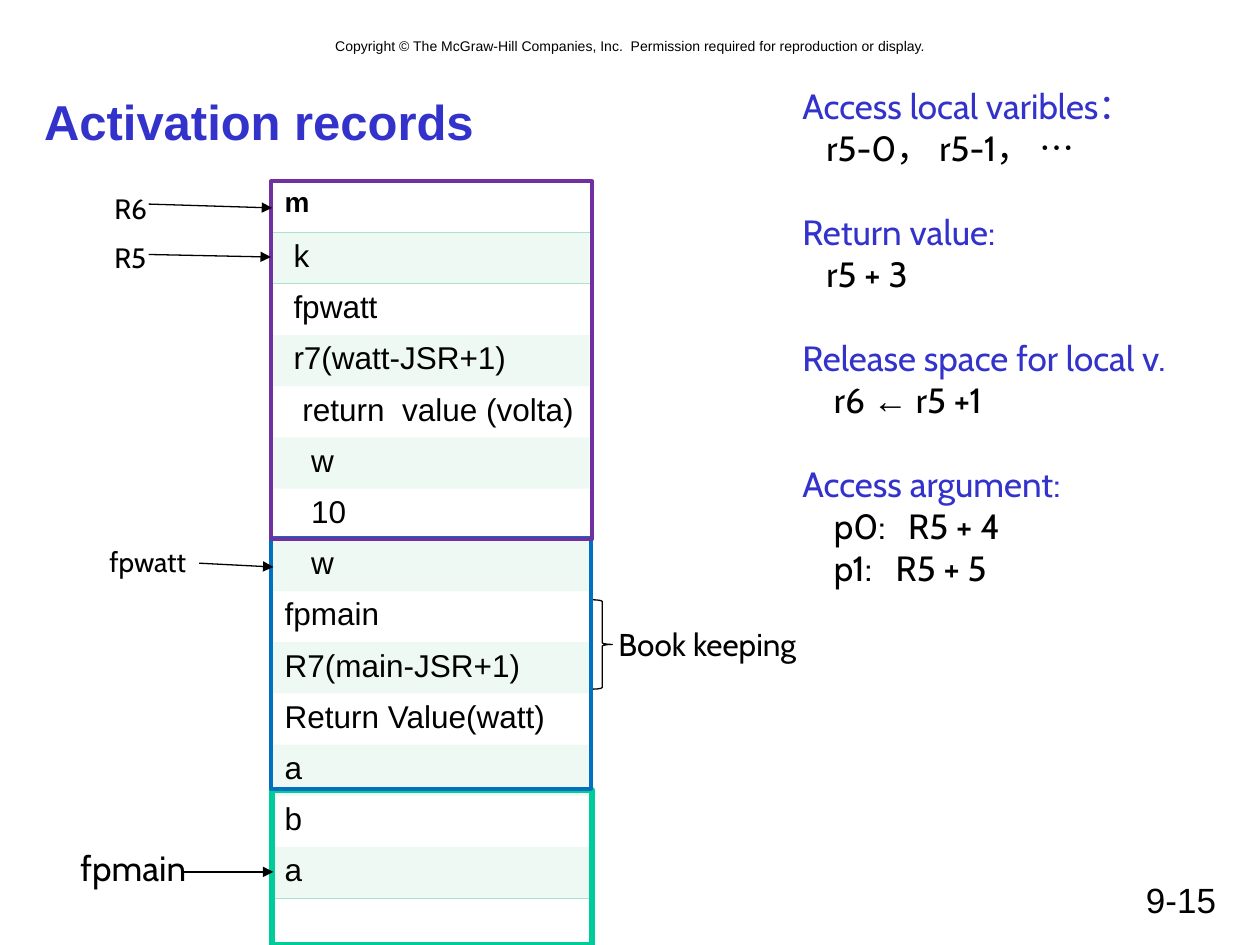
from pptx import Presentation
from pptx.dml.color import RGBColor
from pptx.enum.shapes import MSO_CONNECTOR as CONN, MSO_SHAPE as SHAPE
from pptx.enum.text import MSO_ANCHOR as ANCHOR, PP_ALIGN as ALIGN
from pptx.oxml import parse_xml
from pptx.oxml.ns import nsdecls
from pptx.util import Inches, Pt

BLACK, BLUE, MINT = "000000", "3333CC", "AAE2CA"
STACK = [("m", 0), ("k", 1), ("fpwatt", 1), ("r7(watt-JSR+1)", 1),
         ("return  value (volta)", 2), ("w", 3), ("10", 3), ("w", 3),
         ("fpmain", 0), ("R7(main-JSR+1)", 0), ("Return Value(watt)", 0),
         ("a", 0), ("b", 0), ("a", 0)]
FRAMES = [((2.16, 6.27, 2.54, 1.23), "00CC99", 3),
          ((2.15, 4.27, 2.54, 1.99), "0070C0", 2.25),
          ((2.15, 1.44, 2.55, 2.84), "7030A0", 2.25)]
POINTERS = [("fpwatt", (0.77, 4.27, 0.94, 0.37), 16, (1.58, 4.47, 2.17, 4.5)),
            ("R6", (0.81, 1.47, 0.6, 0.37), 16, (1.18, 1.62, 2.16, 1.65)),
            ("fpmain", (0.54, 6.67, 1.57, 0.44), 20, (1.44, 6.92, 2.17, 6.92)),
            ("R5", (0.81, 1.86, 0.6, 0.37), 16, (1.18, 2.02, 2.15, 2.04))]
NOTES = [("Access local varibles：", [("\tr5-0， r5-1， …", [0.19])]),
         ("Return value:", [("\tr5 + 3", [0.19])]),
         ("Release space for local v.", [("\tr6 ← r5 +1", [0.25])]),
         ("Access argument:", [("\tp0:\tR5 + 4", [0.25, 0.84]),
                               ("\tp1:\tR5 + 5", [0.25, 0.74])])]


def rgb(color):
    """Turn a hex string into a colour."""
    return RGBColor.from_string(color)


def inches(values):
    """Turn numbers into lengths."""
    return [Inches(v) for v in values]


def add_run(p, text, size, font="Arial", color=BLACK, bold=False):
    """Add a formatted run to a paragraph."""
    r = p.add_run()
    r.text = text
    for key, value in dict(size=Pt(size), name=font, bold=bold).items():
        setattr(r.font, key, value)
    r.font.color.rgb = rgb(color)


def add_box(s, box):
    """Add an empty wrapping text box and return its text frame."""
    tf = s.shapes.add_textbox(*inches(box)).text_frame
    tf.word_wrap = True
    return tf


def add_label(s, box, text, size, font="Cabin", align=ALIGN.LEFT):
    """Add a one-line label."""
    p = add_box(s, box).paragraphs[0]
    p.alignment = align
    add_run(p, text, size, font)


def add_title(s, box, text):
    """Place and format the title placeholder."""
    sp = s.shapes.title
    sp.left, sp.top, sp.width, sp.height = inches(box)
    tf = sp.text_frame
    tf.vertical_anchor = ANCHOR.MIDDLE
    tf.paragraphs[0].alignment = ALIGN.LEFT
    add_run(tf.paragraphs[0], text, 28, color=BLUE, bold=True)


def add_border(cell, side):
    """Draw a thin mint border on one side of a cell."""
    pr = cell._tc.get_or_add_tcPr()
    ln = parse_xml(f'<a:{side} {nsdecls("a")} w="5715"><a:solidFill>'
                   f'<a:srgbClr val="{MINT}"/></a:solidFill></a:{side}>')
    pr.insert(len(pr.findall("{*}lnT")), ln)


def add_stack(s, box):
    """Add the table of stack slots with alternate rows tinted."""
    table = s.shapes.add_table(len(STACK), 1, *inches(box)).table
    table.first_row = table.horz_banding = False
    table._tbl.tblPr.find("{*}tableStyleId").text = "{2D5ABB26-0587-4C30-8999-92F81FD0307C}"
    for i, (text, depth) in enumerate(STACK):
        table.rows[i].height = Inches(box[3] / len(STACK))
        cell = table.cell(i, 0)
        cell.margin_left = Inches(0.1 + 0.07 * depth)
        add_run(cell.text_frame.paragraphs[0], text, 18 if i else 16, bold=not i)
        if i % 2:
            cell.fill.solid()
            cell.fill.fore_color.rgb = rgb(MINT)
            color = cell._tc.tcPr.find(".//{*}srgbClr")
            color.append(parse_xml(f'<a:alpha {nsdecls("a")} val="20000"/>'))
        else:
            cell.fill.background()
    for row, side in ((0, "lnT"), (0, "lnB"), (1, "lnT"), (len(STACK) - 1, "lnB")):
        add_border(table.cell(row, 0), side)


def add_outline(s, kind, box, color, width):
    """Add an unfilled preset shape."""
    sp = s.shapes.add_shape(kind, *inches(box))
    sp.shadow.inherit = False
    sp.fill.background()
    sp.line.color.rgb = rgb(color)
    sp.line.width = Pt(width)


def add_arrow(s, ends):
    """Add a thin black arrow."""
    line = s.shapes.add_connector(CONN.STRAIGHT, *inches(ends))
    line.line.color.rgb = rgb(BLACK)
    line.line.width = Pt(0.75)
    line.line._get_or_add_ln().append(
        parse_xml(f'<a:tailEnd {nsdecls("a")} type="triangle"/>'))
    line._element.spPr.append(parse_xml(f'<a:effectLst {nsdecls("a")}/>'))


def add_notes(s, box):
    """Add the access rules, each a blue heading with indented lines."""
    tf = add_box(s, box)
    for i, (heading, lines) in enumerate(NOTES):
        p = tf.add_paragraph() if i else tf.paragraphs[0]
        p.space_before = Pt(24 if i else 0)
        add_run(p, heading, 20, "Cabin", BLUE)
        for text, stops in lines:
            p = tf.add_paragraph()
            tabs = "".join(f'<a:tab pos="{Inches(x)}" algn="l"/>' for x in stops)
            p._p.get_or_add_pPr().append(
                parse_xml(f'<a:tabLst {nsdecls("a")}>{tabs}</a:tabLst>'))
            before, arrow, after = text.partition("←")
            for part, font in ((before, "Cabin"), (arrow, "Arial"), (after, "Cabin")):
                if part:
                    add_run(p, part, 20, font)


def main():
    """Build the slide and save it."""
    prs = Presentation()
    prs.slide_width, prs.slide_height = inches((10, 7.5))
    s = prs.slides.add_slide(prs.slide_layouts[5])
    add_label(s, (0.67, 0.25, 8.67, 0.24),
              "Copyright © The McGraw-Hill Companies, Inc.  "
              "Permission required for reproduction or display.",
              8, "Arial", ALIGN.CENTER)
    add_title(s, (0.25, 0.67, 9.5, 0.58), "Activation records")
    add_stack(s, (2.16, 1.44, 2.52, 5.69))
    add_label(s, (7.17, 6.92, 2.58, 0.42), "9-15", 20, "Arial", ALIGN.RIGHT)
    add_outline(s, SHAPE.RIGHT_BRACE, (4.7, 4.76, 0.16, 0.71), BLACK, 0.75)
    add_label(s, (4.81, 4.91, 1.8, 0.4), "Book keeping", 18)
    add_notes(s, (6.27, 0.62, 3.44, 4.1))
    for box, color, width in FRAMES:
        add_outline(s, SHAPE.RECTANGLE, box, color, width)
    for text, box, size, ends in POINTERS:
        add_label(s, box, text, size)
        add_arrow(s, ends)
    prs.save("out.pptx")


if __name__ == "__main__":
    main()
